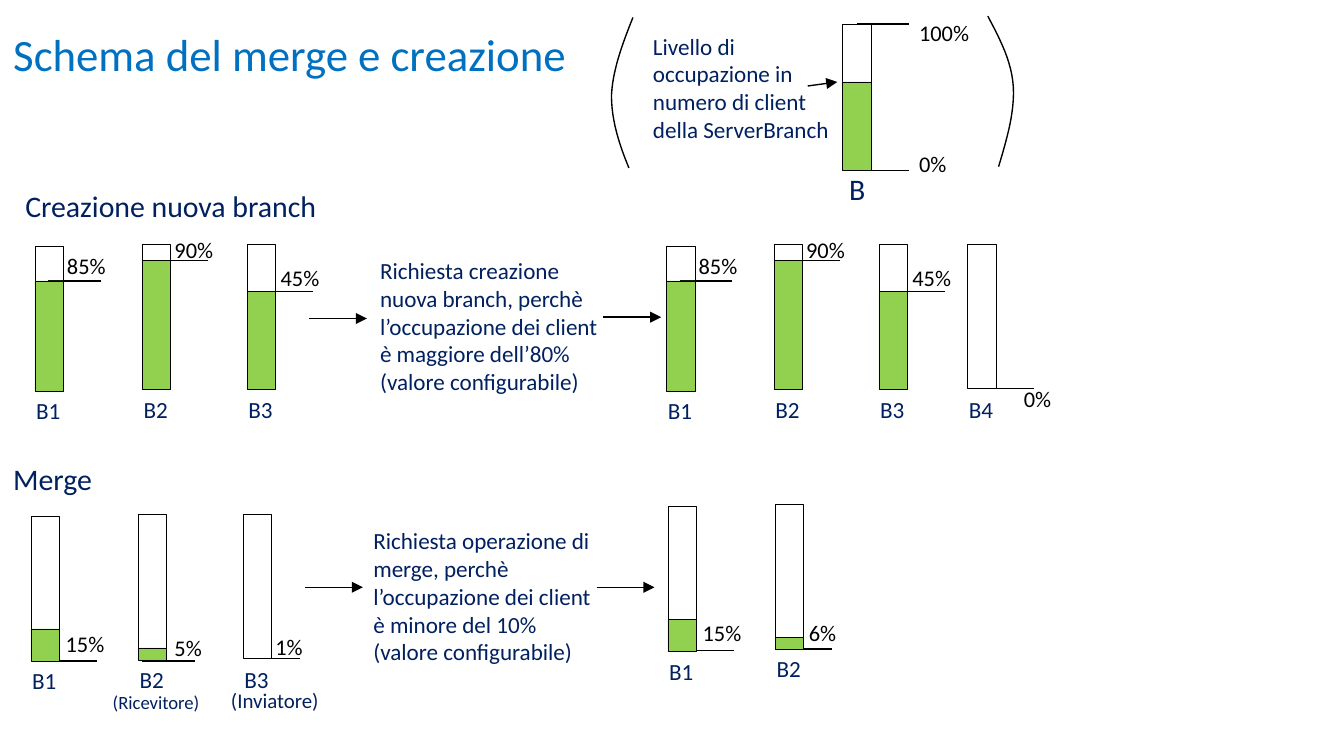
from dataclasses import dataclass, replace

from lxml.etree import SubElement as Sub
from pptx import Presentation
from pptx.dml.color import RGBColor
from pptx.enum.shapes import MSO_CONNECTOR as Conn, MSO_SHAPE as Kind
from pptx.enum.text import MSO_ANCHOR as Anchor
from pptx.oxml.ns import qn
from pptx.util import Inches, Pt

NAVY, BLUE, GREEN = "002060", "0070C0", "92D050"
BLACK, WHITE = "000000", "FFFFFF"
WIDE, HIGH = 0.21, 1.07  # size of every bar
STEP = 4.7  # shift from the state before to the state after

prs = Presentation()
prs.slide_width, prs.slide_height = Inches(10), Inches(10 * 9 / 16)
slide = prs.slides.add_slide(prs.slide_layouts[6])
shapes = slide.shapes


@dataclass
class Bar:
    name: str
    x: float
    top: float
    fill: float  # height of the green part
    rate: str = ""
    tick: float = 0  # height of the level line on the slide
    rx: float = 0  # place of the rate
    ry: float = 0
    dx: float = 0.1  # start of the level line, from the bar's left


def color(code: str) -> RGBColor:
    return RGBColor.from_string(code)


def text(words: str, x: float, y: float, w: float, h: float, *,
         size: float = 12.4, ink: str = NAVY, right: float = 0.1,
         anchor: Anchor = Anchor.TOP) -> None:
    frame = shapes.add_textbox(Inches(x), Inches(y), Inches(w), Inches(h)).text_frame
    frame.word_wrap = True
    frame.margin_right = Inches(right)
    frame.vertical_anchor = anchor
    run = frame.paragraphs[0].add_run()
    run.text = words
    run.font.name, run.font.size = "Calibri", Pt(size)
    run.font.color.rgb = color(ink)


def rate(words: str, x: float, y: float) -> None:
    text(words, x, y, 0.77, 0.3, size=12, ink=BLACK)


def rect(x: float, y: float, h: float, fill: str) -> None:
    box = shapes.add_shape(Kind.RECTANGLE, Inches(x), Inches(y), Inches(WIDE), Inches(h))
    box.shadow.inherit = False
    box.fill.solid()
    box.fill.fore_color.rgb = color(fill)
    box.line.color.rgb = color(BLACK)
    box.line.width = Pt(0.25)


def line(x: float, y: float, x2: float, y2: float, head: bool = False) -> None:
    link = shapes.add_connector(Conn.STRAIGHT, Inches(x), Inches(y), Inches(x2), Inches(y2))
    link.line.color.rgb = color(BLACK)
    link.line.width = Pt(0.75)
    props = link.element.spPr
    if head:
        Sub(props.get_or_add_ln(), qn("a:tailEnd"), type="triangle")
    Sub(props, qn("a:effectLst"))


def draw(bar: Bar) -> None:
    rect(bar.x, bar.top, HIGH, WHITE)
    text(bar.name, bar.x - 0.09, bar.top + HIGH, 0.39, 0.37, right=0)
    start = bar.x + bar.dx
    line(start, bar.tick, start + 0.39, bar.tick)
    if bar.fill:
        rect(bar.x, bar.top + HIGH + 0.01 - bar.fill, bar.fill, GREEN)
    rate(bar.rate, bar.rx, bar.ry)


def curve(*dots: tuple[float, float]) -> None:
    """Draw an open chain of cubic curves: a start, then three points each."""
    chain = [dots[0]]
    for i in range(0, len(dots) - 1, 3):
        a, b, c, d = dots[i:i + 4]
        for n in range(1, 13):
            t = n / 12
            u = 1 - t
            chain.append(tuple(
                u**3 * p + 3 * u * u * t * q + 3 * u * t * t * r + t**3 * s
                for p, q, r, s in zip(a, b, c, d)))
    pts = [(Inches(x), Inches(y)) for x, y in chain]
    form = shapes.build_freeform(*pts[0])
    form.add_line_segments(pts[1:], close=False)
    arc = form.convert_to_shape()
    arc.shadow.inherit = False
    arc.fill.background()
    arc.line.color.rgb = color(BLACK)
    arc.line.width = Pt(0.75)


# Titles
text("Schema del merge e creazione", 0, 0, 7.15, 0.79,
     size=24, ink=BLUE, anchor=Anchor.MIDDLE)
text("Creazione nuova branch", 0.09, 1.35, 2.37, 0.37, size=16)
text("Merge", 0, 3.38, 2.37, 0.37, size=16)

# Legend in brackets
text("Livello di occupazione in numero di client della ServerBranch",
     4.76, 0.19, 1.62, 0.97)
rect(6.27, 0.18, HIGH, WHITE)
text("B", 6.22, 1.22, 0.51, 0.4, size=16)
for words, y, ry in (("100%", 0.18, 0.09), ("0%", 1.27, 1.07)):
    line(6.38, y, 6.76, y)
    rate(words, 6.74, ry)
rect(6.27, 0.61, 0.66, GREEN)
line(6.01, 0.64, 6.23, 0.61, head=True)
curve((4.68, 1.25), (4.61, 1.08), (4.55, 0.9), (4.55, 0.71),
      (4.56, 0.52), (4.63, 0.33), (4.71, 0.13))
curve((7.35, 0.12), (7.44, 0.29), (7.53, 0.46), (7.54, 0.65),
      (7.55, 0.84), (7.49, 1.04), (7.43, 1.24))

# New branch: the same three bars before and after, then B4
first = [
    Bar("B1", 0.26, 1.83, 0.82, "85%", 2.09, 0.4, 1.83),
    Bar("B2", 1.06, 1.82, 0.96, "90%", 1.94, 1.2, 1.71),
    Bar("B3", 1.84, 1.82, 0.73, "45%", 2.17, 1.99, 1.92),
]
for bar in first:
    draw(bar)
    draw(replace(bar, x=bar.x + STEP, tick=bar.tick, rx=bar.rx + STEP))
draw(Bar("B4", 7.2, 1.82, 0, "0%", 2.89, 7.52, 2.82))
text("Richiesta creazione nuova branch, perchè l’occupazione dei client "
     "è maggiore dell’80% (valore configurabile)", 2.73, 1.86, 1.84, 1.18)

# Merge: B3 flows into B2
for bar in (
    Bar("B1", 0.23, 3.84, 0.24, "15%", 4.92, 0.39, 4.64),
    Bar("B2", 1.03, 3.83, 0.09, "5%", 4.92, 1.2, 4.67, 0.03),
    Bar("B3", 1.81, 3.83, 0, "1%", 4.9, 1.95, 4.66, 0.03),
    Bar("B1", 4.97, 3.77, 0.24, "15%", 4.84, 5.13, 4.56),
    Bar("B2", 5.77, 3.75, 0.09, "6%", 4.83, 5.92, 4.56, 0.03),
):
    draw(bar)
text("Richiesta operazione di merge, perchè l’occupazione dei client "
     "è minore del 10% (valore configurabile)", 2.68, 3.87, 1.84, 1.18)
text("(Ricevitore)", 0.74, 5.09, 0.89, 0.3, size=10)
text("(Inviatore)", 1.62, 5.07, 0.89, 0.3, size=11.2)

# Arrows between the states
for x, y in ((2.3, 2.37), (4.49, 2.36), (2.27, 4.37), (4.44, 4.37)):
    line(x, y, x + 0.43, y, head=True)

prs.save("out.pptx")
